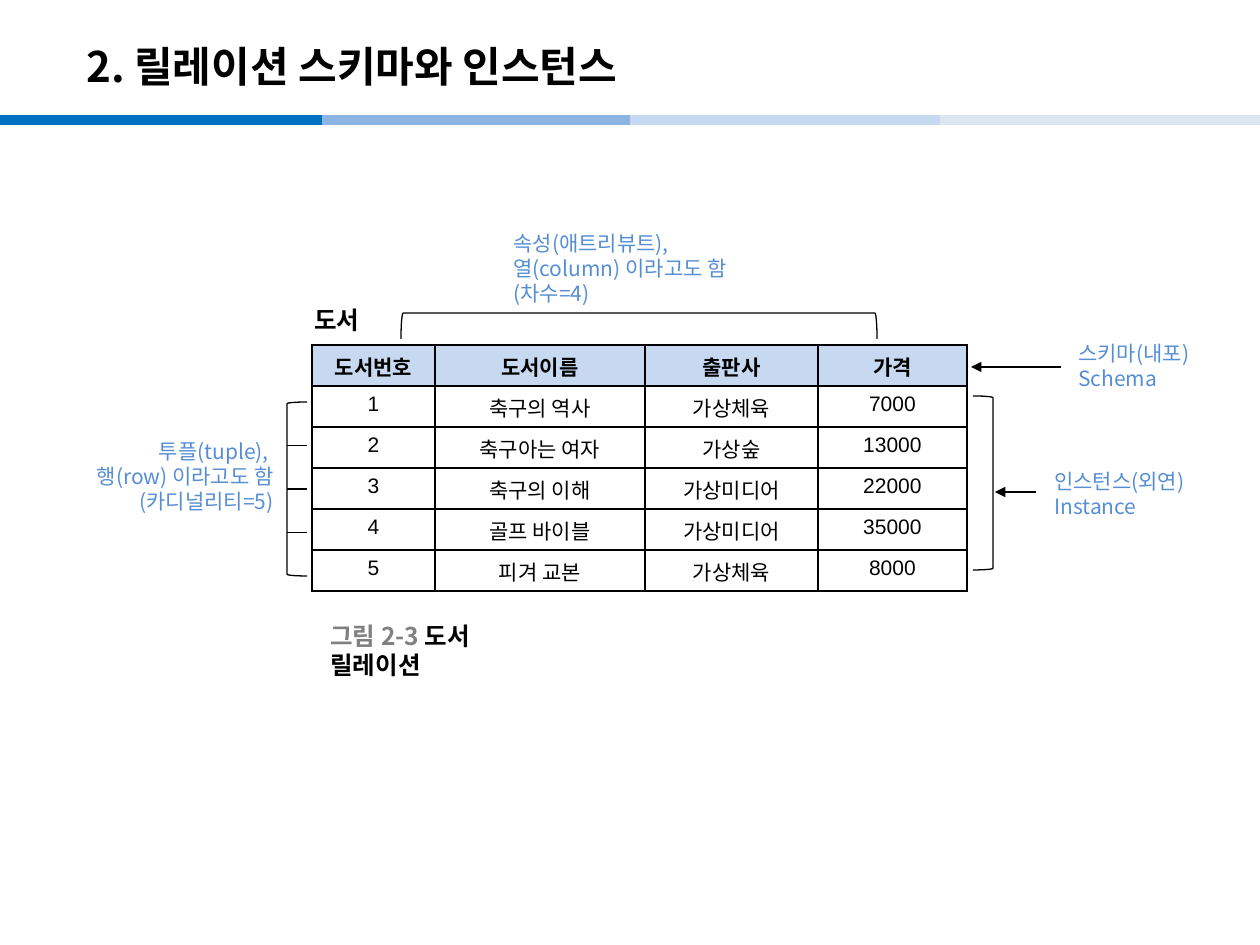
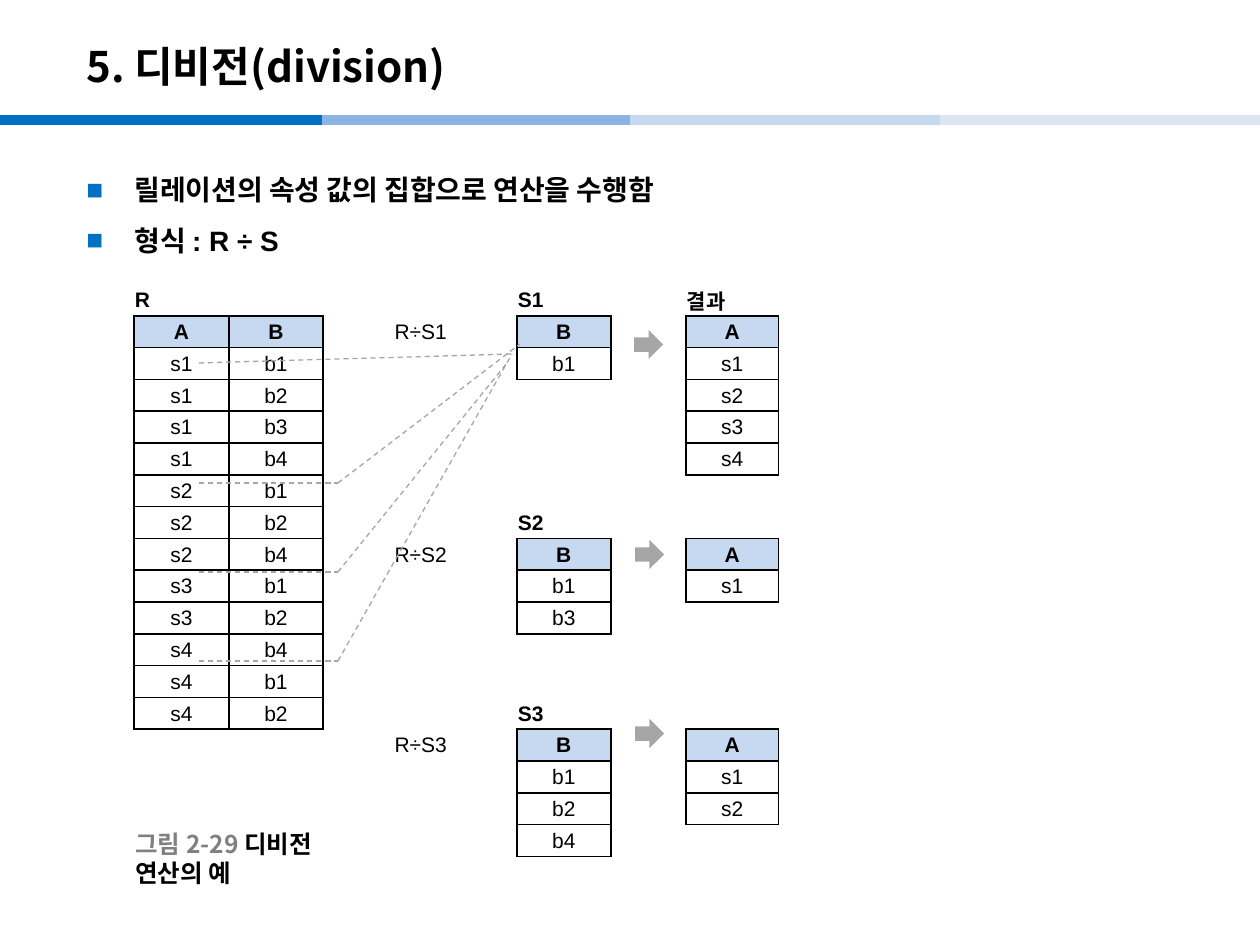
from lxml import etree
from pptx import Presentation
from pptx.dml.color import RGBColor
from pptx.enum.dml import MSO_LINE
from pptx.enum.shapes import MSO_CONNECTOR, MSO_SHAPE
from pptx.enum.text import MSO_ANCHOR, PP_ALIGN
from pptx.oxml.ns import qn
from pptx.util import Emu, Pt

PX = 914400 / 126
STRAIGHT = MSO_CONNECTOR.STRAIGHT
LEFT_BRACKET, RIGHT_BRACKET = MSO_SHAPE.LEFT_BRACKET, MSO_SHAPE.RIGHT_BRACKET
DOWN_ARROW = MSO_SHAPE.DOWN_ARROW
DASH = MSO_LINE.DASH
TOP, MIDDLE = MSO_ANCHOR.TOP, MSO_ANCHOR.MIDDLE
LEFT, CENTER, RIGHT = PP_ALIGN.LEFT, PP_ALIGN.CENTER, PP_ALIGN.RIGHT
NO_STYLE = "{2D5ABB26-0587-4C30-8999-92F81FD0307C}"

# Shared look
KOREAN, LATIN = "Noto Sans CJK KR", "Arial"
BLACK, WHITE, GRAY, GUIDE = "000000", "FFFFFF", "808080", "A6A6A6"
ACCENT, HEADER_FILL, NOTE = "0070C0", "C6D9F1", "558ED5"
BANDS = [(0, ACCENT), (322, "8EB4E3"), (630, "C6D9F1"), (940, "DCE6F2")]
BAND_Y, BAND_WIDTH = 120, 323
TITLE_STYLE = {"size": Pt(24), "bold": True, "name": KOREAN}
CAPTION_STYLE = {"size": Pt(14), "bold": True, "name": KOREAN}
NOTE_STYLE = {"size": Pt(12), "name": KOREAN}
BODY_STYLE = {"size": Pt(16), "bold": True, "name": LATIN}
CELL_STYLE = {"size": Pt(12), "bold": False, "name": LATIN}
HEAD_STYLE = {**CELL_STYLE, "bold": True}

# Slide 1: relation schema and instance
SCHEMA_TITLE = "2. 릴레이션 스키마와 인스턴스"
BOOKS = [
    ("도서번호", "도서이름", "출판사", "가격"),
    ("1", "축구의 역사", "가상체육", "7000"),
    ("2", "축구아는 여자", "가상숲", "13000"),
    ("3", "축구의 이해", "가상미디어", "22000"),
    ("4", "골프 바이블", "가상미디어", "35000"),
    ("5", "피겨 교본", "가상체육", "8000"),
]
BOOK_COLUMNS, BOOK_ROW = [123, 210, 173, 149], 41
NOTES = [
    ((501, 224, 297, 90), LEFT, ["속성(애트리뷰트),", "열(column) 이라고도 함", "(차수=4)"]),
    ((25, 432, 261, 90), RIGHT, ["투플(tuple), ", "행(row) 이라고도 함", "(카디널리티=5)"]),
    ((1066, 334, 174, 63), LEFT, ["스키마(내포)", "Schema"]),
    ((1042, 462, 174, 63), LEFT, ["인스턴스(외연)", "Instance"]),
]
TUPLE_BRACKET = (287, 402, 20, 174)
BRACKETS = [
    (LEFT_BRACKET, (626, 88, 26, 476), 90),
    (RIGHT_BRACKET, (973, 396, 20, 174), 0),
    (RIGHT_BRACKET, TUPLE_BRACKET, 180),
]
NOTE_ARROWS = [(971, 367, 1061, 367), (995, 492, 1036, 492)]

# Slide 2: division
DIVISION_TITLE = "5. 디비전(division)"
POINTS = ["릴레이션의 속성 값의 집합으로 연산을 수행함", "형식 : R ÷ S"]
R_TUPLES = [("s1", "b1"), ("s1", "b2"), ("s1", "b3"), ("s1", "b4"),
            ("s2", "b1"), ("s2", "b2"), ("s2", "b4"), ("s3", "b1"),
            ("s3", "b2"), ("s4", "b4"), ("s4", "b1"), ("s4", "b2")]
# (label, label row, first column, header, tuples)
RELATIONS = [
    ("R", 0, 0, ("A", "B"), R_TUPLES),
    ("S1", 0, 5, ("B",), [("b1",)]),
    ("결과", 0, 7, ("A",), [("s1",), ("s2",), ("s3",), ("s4",)]),
    ("S2", 7, 5, ("B",), [("b1",), ("b3",)]),
    ("", 7, 7, ("A",), [("s1",)]),
    ("S3", 13, 5, ("B",), [("b1",), ("b2",), ("b4",)]),
    ("", 13, 7, ("A",), [("s1",), ("s2",)]),
]
DIVISIONS = [("R÷S1", 1), ("R÷S2", 8), ("R÷S3", 14)]
DIVISION_COLUMN = 3
GRID_COLUMNS = [95, 94, 48, 77, 69, 94, 75, 93]
GRID_ROWS, GRID_LEFT, GRID_TOP, GRID_BOTTOM = 18, 134, 284, 857
FIRST_GUIDE = (199, 363, 512, 354)
BENT_GUIDES = [(483, (520, 344)), (572, (507, 363)), (661, (512, 354))]
GUIDE_LEFT, GUIDE_BEND = 199, 338
RESULT_ARROWS = [(634, 330), (635, 540), (635, 719)]
ARROW_SIZE = 29


def px(value):
    return Emu(round(value * PX))


def rgb(value):
    return RGBColor.from_string(value)


def sub(parent, tag, **attributes):
    child = etree.SubElement(parent, qn(tag))
    for key, value in attributes.items():
        child.set(key, str(value))
    return child


def write(paragraph, text, style, color=BLACK, align=LEFT):
    run = paragraph.add_run()
    run.text = text
    for key, value in style.items():
        setattr(run.font, key, value)
    run.font.color.rgb = rgb(color)
    sub(run.font._element, "a:ea", typeface=KOREAN)
    paragraph.alignment = align


def add_text(slide, box, lines, style, align=LEFT, anchor=TOP, wrap=True):
    """Each line is a list of (text, colour) runs."""
    frame = slide.shapes.add_textbox(*map(px, box)).text_frame
    frame.word_wrap, frame.vertical_anchor = wrap, anchor
    for i, runs in enumerate(lines):
        paragraph = frame.add_paragraph() if i else frame.paragraphs[0]
        for text, color in runs:
            write(paragraph, text, style, color, align)
    return frame


def add_caption(slide, left, top, runs):
    add_text(slide, (left, top, 258, 39), [runs], CAPTION_STYLE, anchor=MIDDLE, wrap=False)


def add_line(slide, ends, color=BLACK, width=0.75, dash=None, arrow=False):
    connector = slide.shapes.add_connector(STRAIGHT, *map(px, ends))
    connector.line.color.rgb = rgb(color)
    connector.line.width = Pt(width)
    if dash:
        connector.line.dash_style = dash
    if arrow:
        sub(connector.line._get_or_add_ln(), "a:headEnd", type="triangle")
    sub(connector._element.spPr, "a:effectLst")


def add_grid(slide, left, top, columns, row_count, row_height):
    frame = slide.shapes.add_table(row_count, len(columns), px(left), px(top),
                                   px(sum(columns)), px(row_count * row_height))
    table = frame.table
    table.first_row = table.horz_banding = False
    table._tbl.tblPr.find(qn("a:tableStyleId")).text = NO_STYLE
    for column, width in zip(table.columns, columns):
        column.width = px(width)
    for row in table.rows:
        row.height = px(row_height)
    return table


def fill_cell(cell, text, style=CELL_STYLE, align=CENTER, fill=None, border=True):
    write(cell.text_frame.paragraphs[0], text, style, align=align)
    if border:
        for side in ("a:lnL", "a:lnR", "a:lnT", "a:lnB"):
            line = sub(cell._tc.get_or_add_tcPr(), side, w=Pt(1))
            sub(sub(line, "a:solidFill"), "a:srgbClr", val=BLACK)
    if fill:
        cell.fill.solid()
        cell.fill.fore_color.rgb = rgb(fill)


def new_slide(deck, title):
    slide = deck.slides.add_slide(deck.slide_layouts[6])
    for left, color in BANDS:
        add_line(slide, (left, BAND_Y, left + BAND_WIDTH, BAND_Y), color, 6)
    add_text(slide, (74, 28, 1042, 76), [[(title, BLACK)]], TITLE_STYLE, anchor=MIDDLE)
    return slide


def build_schema(deck):
    slide = new_slide(deck, SCHEMA_TITLE)

    # Book relation
    table = add_grid(slide, 312, 345, BOOK_COLUMNS, len(BOOKS), BOOK_ROW)
    for r, book in enumerate(BOOKS):
        style, fill = (CELL_STYLE, WHITE) if r else (HEAD_STYLE, HEADER_FILL)
        for c, value in enumerate(book):
            fill_cell(table.cell(r, c), value, style, fill=fill)

    # Notes, brackets and arrows
    for box, align, lines in NOTES:
        add_text(slide, box, [[(line, NOTE)] for line in lines], NOTE_STYLE, align)
    for preset, box, rotation in BRACKETS:
        bracket = slide.shapes.add_shape(preset, *map(px, box))
        bracket.shadow.inherit = False
        bracket.rotation = rotation
        bracket.fill.background()
        bracket.line.color.rgb = rgb(BLACK)
        bracket.line.width = Pt(0.75)
    left, top, width, height = TUPLE_BRACKET
    for quarter in (1, 2, 3):
        y = top + height * quarter / 4
        add_line(slide, (left, y, left + width, y))
    for ends in NOTE_ARROWS:
        add_line(slide, ends, arrow=True)

    add_caption(slide, 318, 631, [("그림 2-3 ", GRAY), ("도서 릴레이션", BLACK)])
    add_caption(slide, 302, 300, [("도서", BLACK)])


def build_division(deck):
    slide = new_slide(deck, DIVISION_TITLE)

    # Bullet points
    body = add_text(slide, (74, 150, 1111, 753), [[(p, BLACK)] for p in POINTS], BODY_STYLE)
    for paragraph in body.paragraphs:
        properties = paragraph._p.get_or_add_pPr()
        properties.set("marL", str(px(48)))
        properties.set("indent", str(-px(48)))
        sub(sub(properties, "a:buClr"), "a:srgbClr", val=ACCENT)
        sub(properties, "a:buFont", typeface=LATIN)
        sub(properties, "a:buChar", char="■")
        paragraph.line_spacing = 1.5

    # Relations laid out on one grid
    row_height = (GRID_BOTTOM - GRID_TOP) / GRID_ROWS
    table = add_grid(slide, GRID_LEFT, GRID_TOP, GRID_COLUMNS, GRID_ROWS, row_height)
    for cell in table.iter_cells():
        cell.margin_left = cell.margin_right = cell.margin_top = px(1)
        cell.margin_bottom = 0
        cell.vertical_anchor = MIDDLE
    for label, top, left, header, tuples in RELATIONS:
        if label:
            fill_cell(table.cell(top, left), label, HEAD_STYLE, LEFT, border=False)
        for r, values in enumerate([header, *tuples]):
            style, fill = (CELL_STYLE, None) if r else (HEAD_STYLE, HEADER_FILL)
            for c, value in enumerate(values):
                fill_cell(table.cell(top + 1 + r, left + c), value, style, fill=fill)
    for label, row in DIVISIONS:
        fill_cell(table.cell(row, DIVISION_COLUMN), label, align=RIGHT, border=False)
    for cell in table.iter_cells():
        if not cell.text:
            sub(cell.text_frame.paragraphs[0]._p, "a:endParaRPr", sz=1200)
            cell.fill.background()

    # Guides from R to S1
    guides = [FIRST_GUIDE]
    for y, target in BENT_GUIDES:
        guides += [(GUIDE_LEFT, y, GUIDE_BEND, y), (GUIDE_BEND, y, *target)]
    for ends in guides:
        add_line(slide, ends, GUIDE, dash=DASH)

    # Arrows to the results
    for left, top in RESULT_ARROWS:
        arrow = slide.shapes.add_shape(DOWN_ARROW, *map(px, (left, top, ARROW_SIZE, ARROW_SIZE)))
        arrow.shadow.inherit = False
        arrow.rotation = 270
        arrow.fill.solid()
        arrow.fill.fore_color.rgb = rgb(GUIDE)
        arrow.line.fill.background()

    add_caption(slide, 123, 839, [("그림 2-29 ", GRAY), ("디비전 연산의 예", BLACK)])


def main():
    deck = Presentation()
    deck.slide_width, deck.slide_height = px(1260), px(945)
    build_schema(deck)
    build_division(deck)
    deck.save("out.pptx")


if __name__ == "__main__":
    main()
